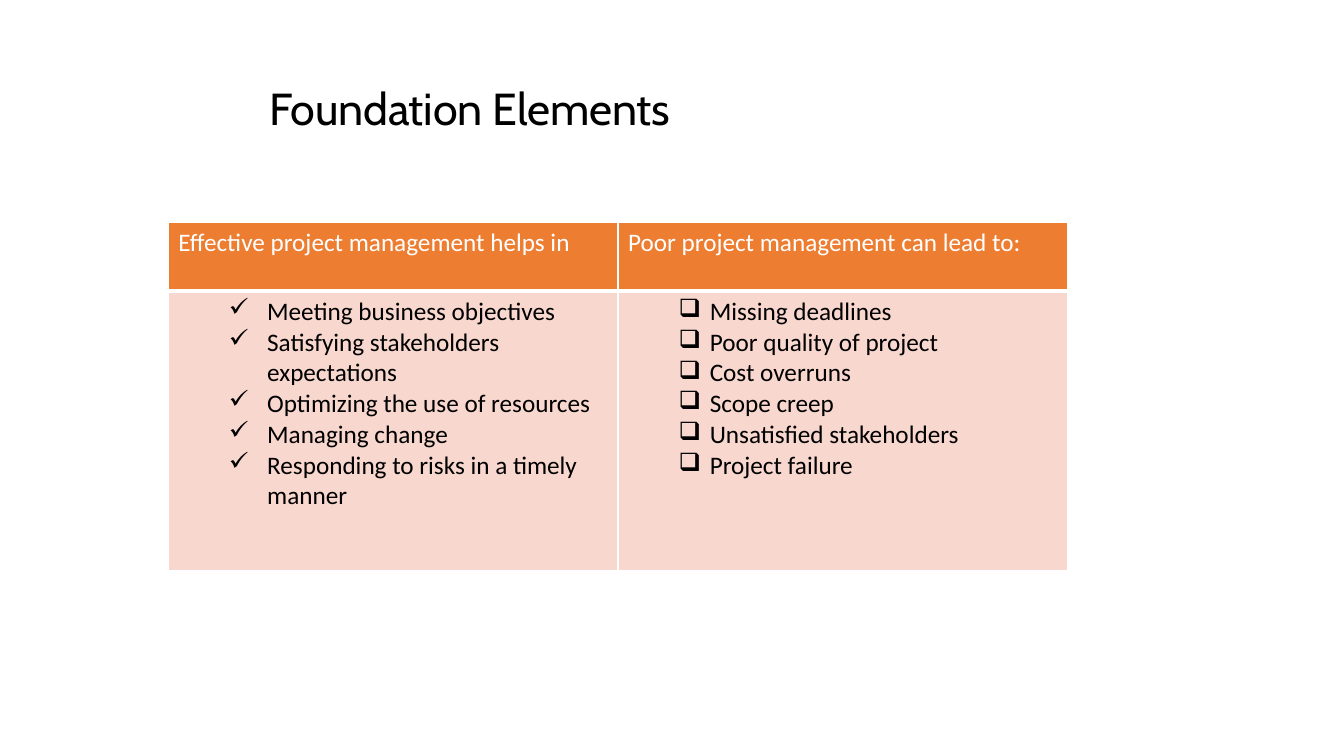
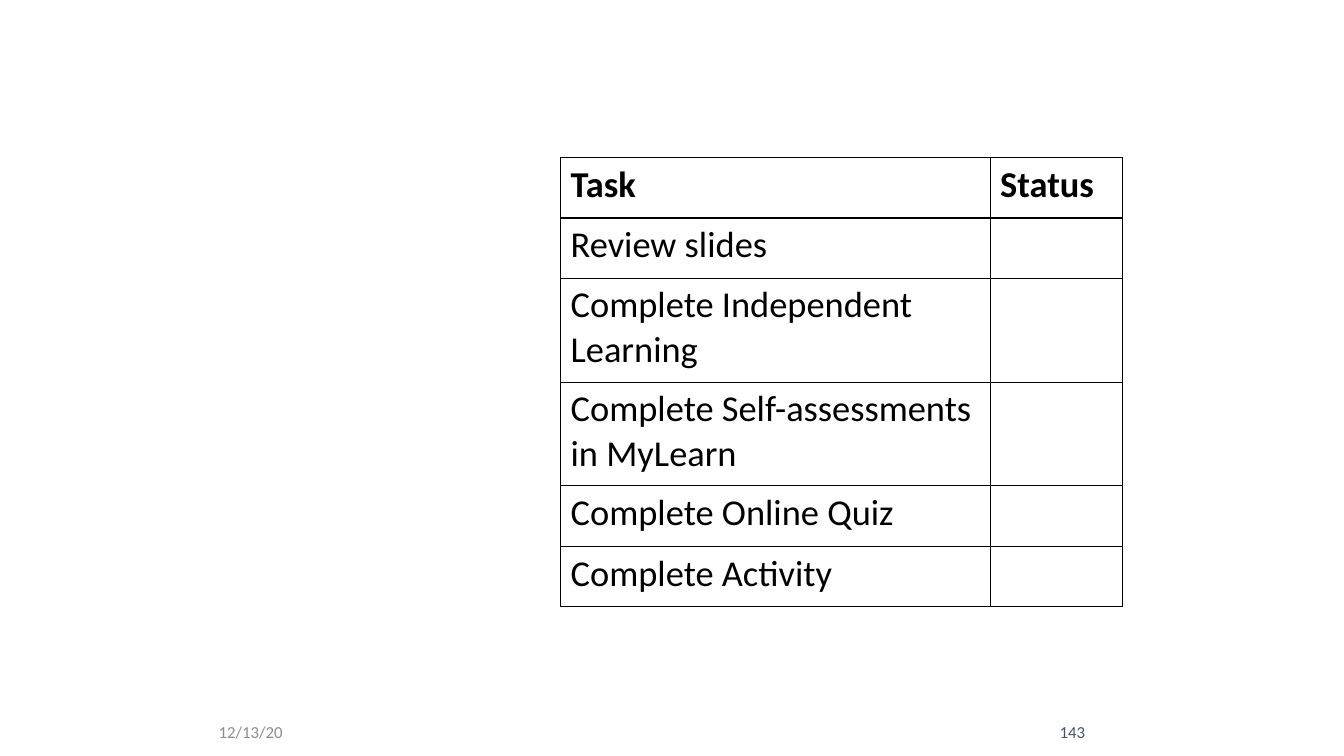
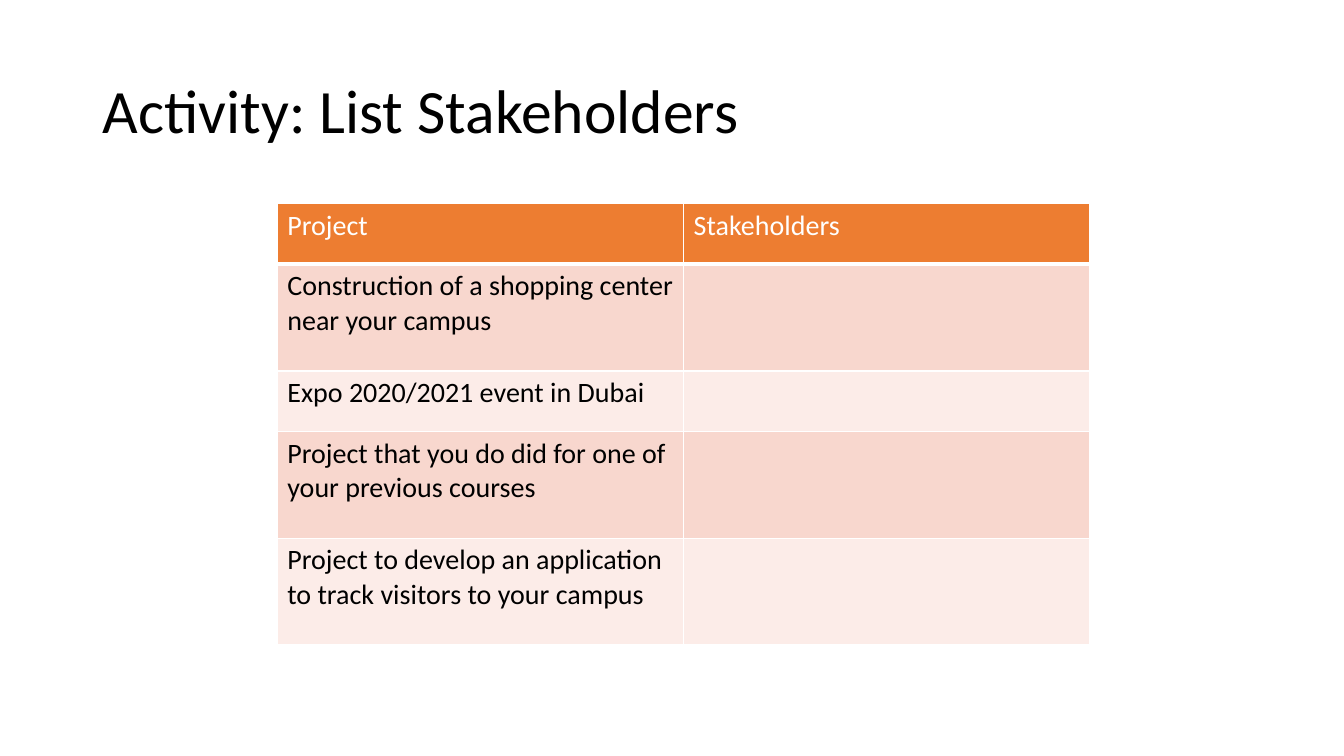
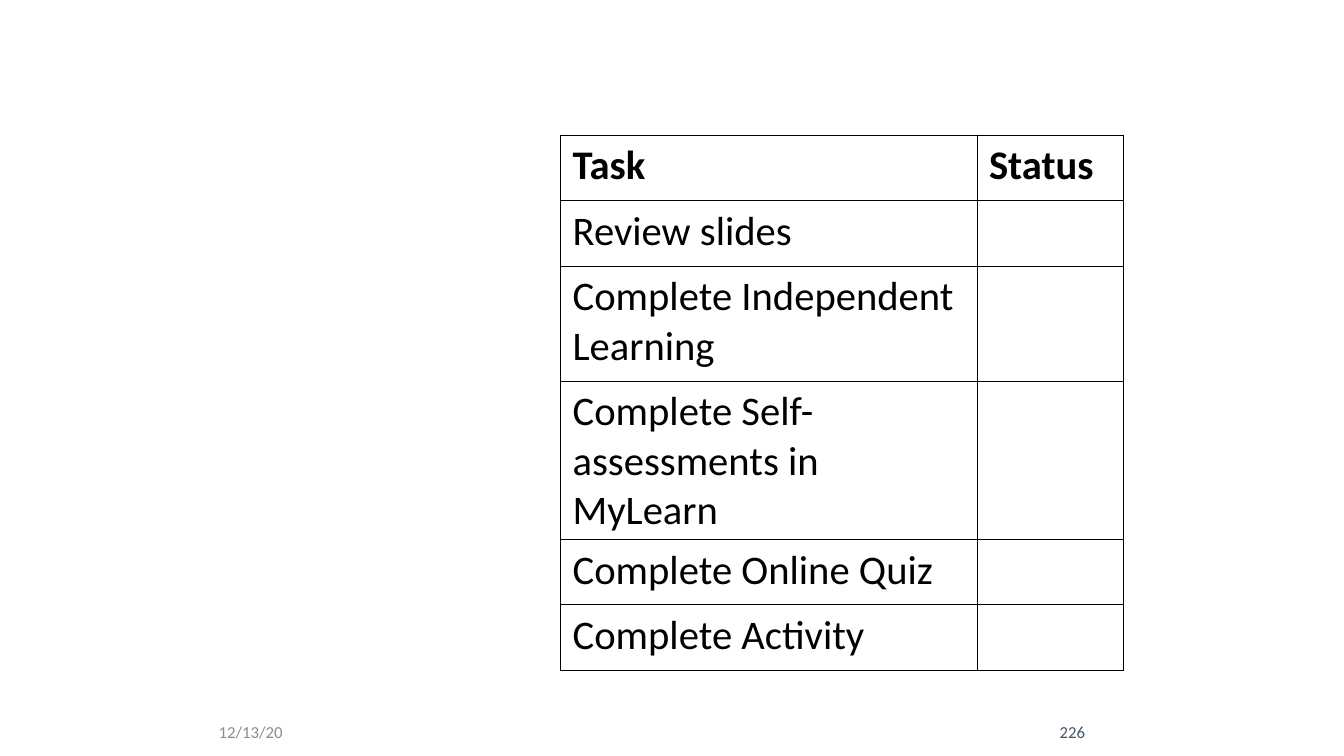
from lxml import etree
from pptx import Presentation
from pptx.dml.color import RGBColor
from pptx.enum.text import MSO_ANCHOR, MSO_AUTO_SIZE, PP_ALIGN
from pptx.oxml.ns import qn
from pptx.util import Inches, Pt

LEFT, RIGHT = PP_ALIGN.LEFT, PP_ALIGN.RIGHT
MIDDLE = MSO_ANCHOR.MIDDLE
NO_FIT = MSO_AUTO_SIZE.NONE
TITLE_ONLY, BLANK = 5, 6

BLACK, WHITE = "000000", "FFFFFF"
ORANGE, PEACH, PALE = "ED7D31", "F8D7CE", "FCECE8"
DATE_GREY, NUMBER_BLUE = "8C8C8C", "44546A"


def style_font(font, color, **values):
    font.color.rgb = RGBColor.from_string(color)
    for name, value in {"name": "Calibri", "bold": False, **values}.items():
        setattr(font, name, value)


def add_border(cell, side, color, width):
    properties = cell._tc.get_or_add_tcPr()
    line = etree.SubElement(properties, qn(f"a:ln{side}"), w=str(Pt(width)))
    fill = etree.SubElement(line, qn("a:solidFill"))
    etree.SubElement(fill, qn("a:srgbClr"), val=color)


BANDED = {
    "line": WHITE, "width": 1, "header_rule": 3, "body_top": 1,
    "header_color": WHITE, "header_bold": False,
    "header_fill": ORANGE, "body_fills": [PEACH, PALE], "inset": (0.1, 0.05),
}
GRID = {
    "line": BLACK, "width": 0.75, "header_rule": 1.37, "body_top": 1.37,
    "header_color": BLACK, "header_bold": True,
    "header_fill": None, "body_fills": [None], "inset": (0.1, 0.05),
}

helps = ["Meeting business objectives", "Satisfying stakeholders expectations",
         "Optimizing the use of resources", "Managing change",
         "Responding to risks in a timely manner"]
harms = ["Missing deadlines", "Poor quality of project", "Cost overruns",
         "Scope creep", "Unsatisfied stakeholders", "Project failure"]
tasks = [["Task", "Status"], ["Review slides", ""],
         ["Complete Independent Learning", ""],
         ["Complete Self-assessments in MyLearn", ""],
         ["Complete Online Quiz", ""], ["Complete Activity", ""]]
stakeholders = [["Project", "Stakeholders"],
                ["Construction of a shopping center near your campus", ""],
                ["Expo 2020/2021 event in Dubai", ""],
                ["Project that you do did for one of your previous courses", ""],
                ["Project to develop an application to track visitors to your campus", ""]]

pages = [
    {"title": "Foundation Elements", "title_at": (2.57, 0.31, 8.6, 1.59),
     "title_font": {"name": "Cabin", "size": Pt(32)}, "tracking": -10,
     "look": BANDED, "size": 18, "at": (1.67, 2.21),
     "columns": [4.46, 4.46], "rows": [0.68, 2.77],
     "cells": [["Effective project management helps in",
                "Poor project management can lead to:"], [helps, harms]],
     "bullets": [("✓", 0.88, 0.38), ("❑", 0.81, 0.31)]},
    {"number": "143", "look": GRID, "size": 26, "at": (5.56, 1.56),
     "columns": [4.26, 1.31], "rows": [0.6, 0.6, 1.03, 1.03, 0.6, 0.6],
     "cells": tasks},
    {"title": "Activity: List Stakeholders", "title_at": (0.92, 0.4, 11.5, 1.45),
     "title_font": {"size": Pt(44)}, "tracking": 0,
     "look": BANDED, "size": 20, "at": (2.75, 2.02),
     "columns": [4.03, 4.03], "rows": [0.6, 1.06, 0.6, 1.06, 1.06],
     "cells": stakeholders},
    {"number": "226", "look": {**GRID, "inset": (0.12, 0.06)}, "size": 29,
     "at": (5.56, 1.34), "columns": [4.13, 1.45],
     "rows": [0.65, 0.65, 1.14, 1.14, 0.65, 0.65], "cells": tasks},
]

deck = Presentation()
deck.slide_width, deck.slide_height = Inches(13.33), Inches(7.5)

for content in pages:
    has_title = "title" in content
    page = deck.slides.add_slide(deck.slide_layouts[TITLE_ONLY if has_title else BLANK])

    if has_title:
        title = page.shapes.title
        title.left, title.top, title.width, title.height = map(Inches, content["title_at"])
        frame = title.text_frame
        frame.text = content["title"]
        frame.auto_size, frame.vertical_anchor = NO_FIT, MIDDLE
        para = frame.paragraphs[0]
        para.alignment, para.line_spacing = LEFT, 0.9
        span = para.runs[0]
        style_font(span.font, BLACK, **content["title_font"])
        span.font._element.set("spc", str(content["tracking"]))
    else:
        for text, left, width, color, alignment in [
            ("12/13/20", 2.07, 1.42, DATE_GREY, LEFT),
            (content["number"], 9.97, 0.89, NUMBER_BLUE, RIGHT),
        ]:
            box = page.shapes.add_textbox(Inches(left), Inches(7.06), Inches(width), Inches(0.4))
            frame = box.text_frame
            frame.text = text
            frame.word_wrap, frame.vertical_anchor = True, MIDDLE
            frame.paragraphs[0].alignment = alignment
            style_font(frame.paragraphs[0].runs[0].font, color, size=Pt(12))

    look, columns, rows = content["look"], content["columns"], content["rows"]
    left, top = content["at"]
    table = page.shapes.add_table(len(rows), len(columns), Inches(left), Inches(top),
                                  Inches(sum(columns)), Inches(sum(rows))).table
    table.first_row = table.horz_banding = False
    for column, width in zip(table.columns, columns):
        column.width = Inches(width)
    for row, height in zip(table.rows, rows):
        row.height = Inches(height)

    for r, row_cells in enumerate(content["cells"]):
        header = r == 0
        body_fills = look["body_fills"]
        fill = look["header_fill"] if header else body_fills[(r - 1) % len(body_fills)]
        color = look["header_color"] if header else BLACK
        widths = {"L": look["width"], "R": look["width"],
                  "T": look["body_top"] if r == 1 else look["width"],
                  "B": look["header_rule"] if header else look["width"]}
        for c, value in enumerate(row_cells):
            cell = table.cell(r, c)
            cell.margin_left = cell.margin_right = Inches(look["inset"][0])
            cell.margin_top = cell.margin_bottom = Inches(look["inset"][1])
            for side, width in widths.items():
                add_border(cell, side, look["line"], width)
            if fill:
                cell.fill.solid()
                cell.fill.fore_color.rgb = RGBColor.from_string(fill)
            else:
                cell.fill.background()

            bulleted = isinstance(value, list)
            cell.text_frame.text = "\n".join(value) if bulleted else value
            for para in cell.text_frame.paragraphs:
                if bulleted:
                    mark, margin, hang = content["bullets"][c]
                    para.level = 1
                    properties = para._p.get_or_add_pPr()
                    properties.set("marL", str(Inches(margin)))
                    properties.set("indent", str(-Inches(hang)))
                    etree.SubElement(properties, qn("a:buChar"), char=mark)
                for span in para.runs:
                    style_font(span.font, color, size=Pt(content["size"]),
                               bold=header and look["header_bold"])

deck.save("out.pptx")
